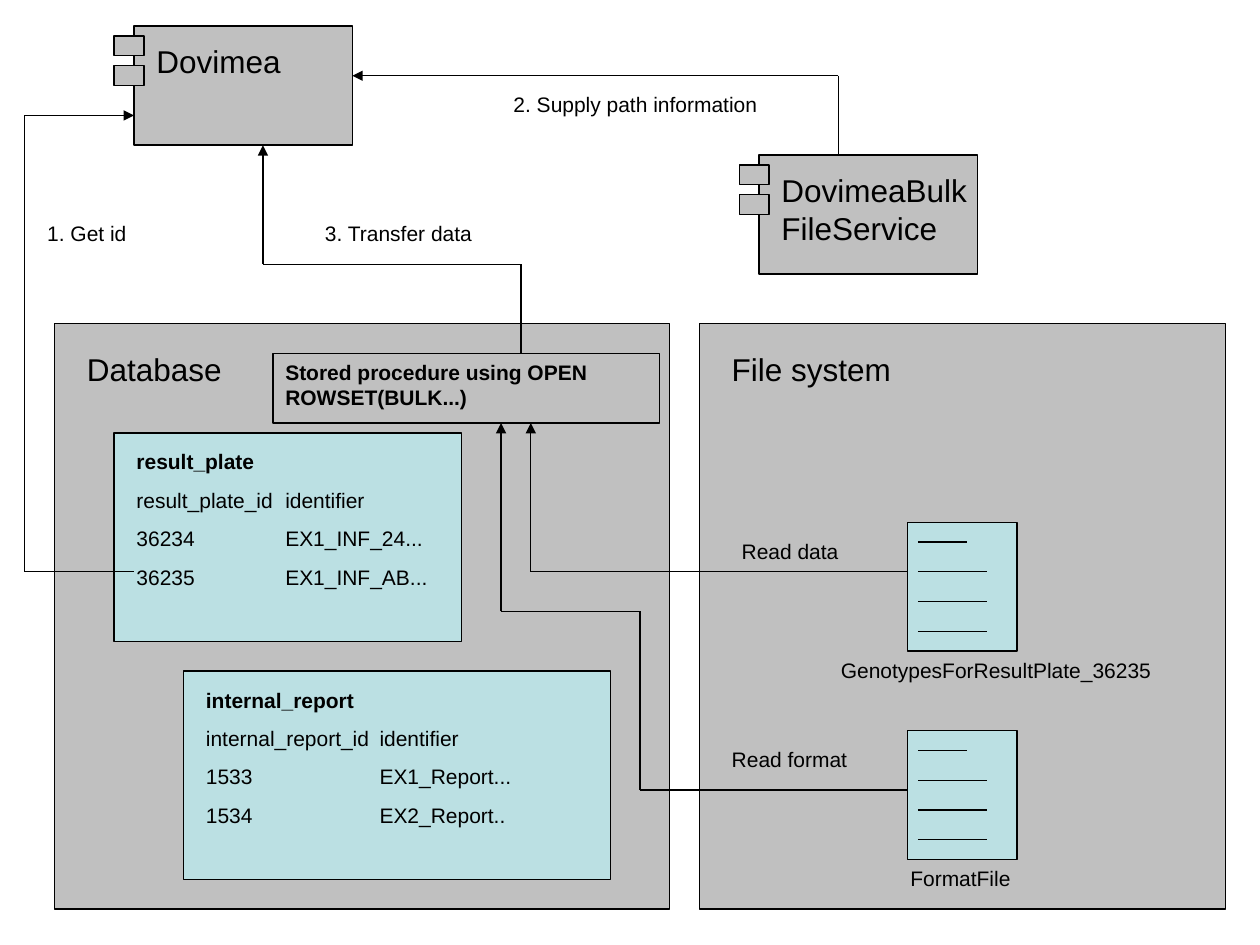
"""Draw the bulk transfer of result files between services, database and file system."""
from dataclasses import dataclass
from typing import Any

import pptx
import pptx.dml.color
import pptx.enum.shapes
import pptx.enum.text
import pptx.oxml.ns
import pptx.util
from lxml import etree


@dataclass(frozen=True)
class Theme:
    font: str = "Arial"
    ink: str = "000000"
    panel: str = "C0C0C0"
    sheet: str = "BBE0E3"
    heading: float = 18
    body: float = 12
    space_before: float = 0.625
    line: float = 0.75


@dataclass(frozen=True)
class Grid:
    cell: float = 10 / 127
    left: float = 0.04
    top: float = 0.05

    def x(self, column: float) -> int:
        return pptx.util.Inches(self.left + column * self.cell)

    def y(self, row: float) -> int:
        return pptx.util.Inches(self.top + row * self.cell)

    def span(self, cells: float) -> int:
        return pptx.util.Inches(cells * self.cell)


@dataclass(frozen=True)
class Box:
    column: float
    row: float
    columns: float
    rows: float


@dataclass(frozen=True)
class Label:
    text: str
    column: float
    row: float
    columns: float
    size: float = Theme.body
    bold: bool = False


@dataclass(frozen=True)
class Component:
    name: str
    column: float
    row: float


@dataclass(frozen=True)
class Table:
    name: str
    records: tuple[tuple[str, str], ...]
    box: Box
    tab: float


@dataclass(frozen=True)
class Route:
    points: tuple[tuple[float, float], ...]


THEME = Theme()
GRID = Grid()

PANELS = (
    (Box(5, 32, 62, 59), Label("Database", 7, 34, 39, THEME.heading)),
    (Box(70, 32, 53, 59), Label("File system", 72, 34, 39, THEME.heading)),
)
TABLES = (
    Table("result_plate",
          (("result_plate_id", "identifier"), ("36234", "EX1_INF_24..."), ("36235", "EX1_INF_AB...")),
          Box(11, 43, 35, 21), 15),
    Table("internal_report",
          (("internal_report_id", "identifier"), ("1533", "EX1_Report..."), ("1534", "EX2_Report..")),
          Box(18, 67, 43, 21), 17.5),
)
FILES = (
    (Box(91, 52, 11, 13), Label("GenotypesForResultPlate_36235", 83, 65, 36)),
    (Box(91, 73, 11, 13), Label("FormatFile", 90, 86, 22)),
)
COMPONENTS = (Component("DovimeaBulkFileService", 76, 15), Component("Dovimea", 13, 2))
PROCEDURE = Box(27, 35, 39, 7)
LABELS = (
    Label("Stored procedure using OPEN ROWSET(BULK...)", 27, 35, 40, bold=True),
    Label("1. Get id", 3, 21, 15),
    Label("2. Supply path information", 50, 8, 28),
    Label("3. Transfer data", 31, 21, 28),
    Label("Read data", 73, 53, 18),
    Label("Read format", 72, 74, 18),
)
ROUTES = (
    Route(((13, 57), (2, 57), (2, 11), (13, 11))),
    Route(((84, 15), (84, 7), (35, 7))),
    Route(((52, 35), (52, 26), (26, 26), (26, 14))),
    Route(((91, 57), (53, 57), (53, 42))),
    Route(((91, 79), (64, 79), (64, 61), (50, 61), (50, 42))),
)


def color(value: str) -> pptx.dml.color.RGBColor:
    return pptx.dml.color.RGBColor.from_string(value)


def draw_box(shapes: Any, box: Box, fill: str | None) -> None:
    shape = shapes.add_shape(pptx.enum.shapes.MSO_SHAPE.RECTANGLE, GRID.x(box.column), GRID.y(box.row),
                             GRID.span(box.columns), GRID.span(box.rows))
    shape.shadow.inherit = False
    if fill is None:
        shape.fill.background()
    else:
        shape.fill.solid()
        shape.fill.fore_color.rgb = color(fill)
    shape.line.color.rgb = color(THEME.ink)
    shape.line.width = pptx.util.Pt(THEME.line)


def draw_line(shapes: Any, start: tuple[float, float], end: tuple[float, float], arrow: bool = False) -> None:
    connector = shapes.add_connector(pptx.enum.shapes.MSO_CONNECTOR.STRAIGHT, GRID.x(start[0]),
                                     GRID.y(start[1]), GRID.x(end[0]), GRID.y(end[1]))
    connector.line.color.rgb = color(THEME.ink)
    connector.line.width = pptx.util.Pt(THEME.line)
    if arrow:
        etree.SubElement(connector.line._get_or_add_ln(), pptx.oxml.ns.qn("a:tailEnd"), type="triangle")
    etree.SubElement(connector._element.spPr, pptx.oxml.ns.qn("a:effectLst"))


def draw_label(shapes: Any, label: Label) -> Any:
    height = pptx.util.Pt(label.size * 1.2 + 7.2)
    text_frame = shapes.add_textbox(GRID.x(label.column), GRID.y(label.row),
                                    GRID.span(label.columns), height).text_frame
    text_frame.word_wrap = True
    text_frame.auto_size = pptx.enum.text.MSO_AUTO_SIZE.SHAPE_TO_FIT_TEXT
    write(text_frame.paragraphs[0], label.text, label.size, label.bold)
    return text_frame


def write(paragraph: Any, text: str, size: float, bold: bool = False) -> None:
    paragraph.space_before = pptx.util.Pt(size * THEME.space_before)
    run = paragraph.add_run()
    run.text = text
    run.font.name = THEME.font
    run.font.size = pptx.util.Pt(size)
    run.font.bold = bold
    run.font.color.rgb = color(THEME.ink)


def draw_table(shapes: Any, table: Table) -> None:
    draw_box(shapes, table.box, THEME.sheet)
    text_frame = draw_label(shapes, Label(table.name, table.box.column + 1, table.box.row + 1,
                                          table.box.columns - 3, bold=True))
    for record in table.records:
        paragraph = text_frame.add_paragraph()
        write(paragraph, "\t".join(record), THEME.body)
        tabs = etree.SubElement(paragraph._p.get_or_add_pPr(), pptx.oxml.ns.qn("a:tabLst"))
        etree.SubElement(tabs, pptx.oxml.ns.qn("a:tab"), pos=str(GRID.span(table.tab)), algn="l")


def draw_file(shapes: Any, box: Box) -> None:
    group = shapes.add_group_shape().shapes
    draw_box(group, box, THEME.sheet)
    for index, length in enumerate((5, 7, 7, 7)):
        row = box.row + 2 + 3 * index
        draw_line(group, (box.column + 1, row), (box.column + 1 + length, row))


def draw_component(shapes: Any, component: Component) -> None:
    group = shapes.add_group_shape().shapes
    column, row = component.column, component.row
    draw_box(group, Box(column, row, 22, 12), THEME.panel)
    for offset in (1, 4):
        draw_box(group, Box(column - 2, row + offset, 3, 2), THEME.panel)
    draw_label(shapes, Label(component.name, column + 1, row + 1, 22, THEME.heading))


def main() -> None:
    presentation = pptx.Presentation()
    presentation.slide_width = pptx.util.Inches(10)
    presentation.slide_height = pptx.util.Inches(7.5)
    shapes = presentation.slides.add_slide(presentation.slide_layouts[6]).shapes
    for box, label in PANELS:
        draw_box(shapes, box, THEME.panel)
        draw_label(shapes, label)
    for table in TABLES:
        draw_table(shapes, table)
    for box, label in FILES:
        draw_file(shapes, box)
        draw_label(shapes, label)
    for component in COMPONENTS:
        draw_component(shapes, component)
    draw_box(shapes, PROCEDURE, None)
    for label in LABELS:
        draw_label(shapes, label)
    for route in ROUTES:
        for start, end in zip(route.points, route.points[1:]):
            draw_line(shapes, start, end, end == route.points[-1])
    presentation.save("out.pptx")


if __name__ == "__main__":
    main()
